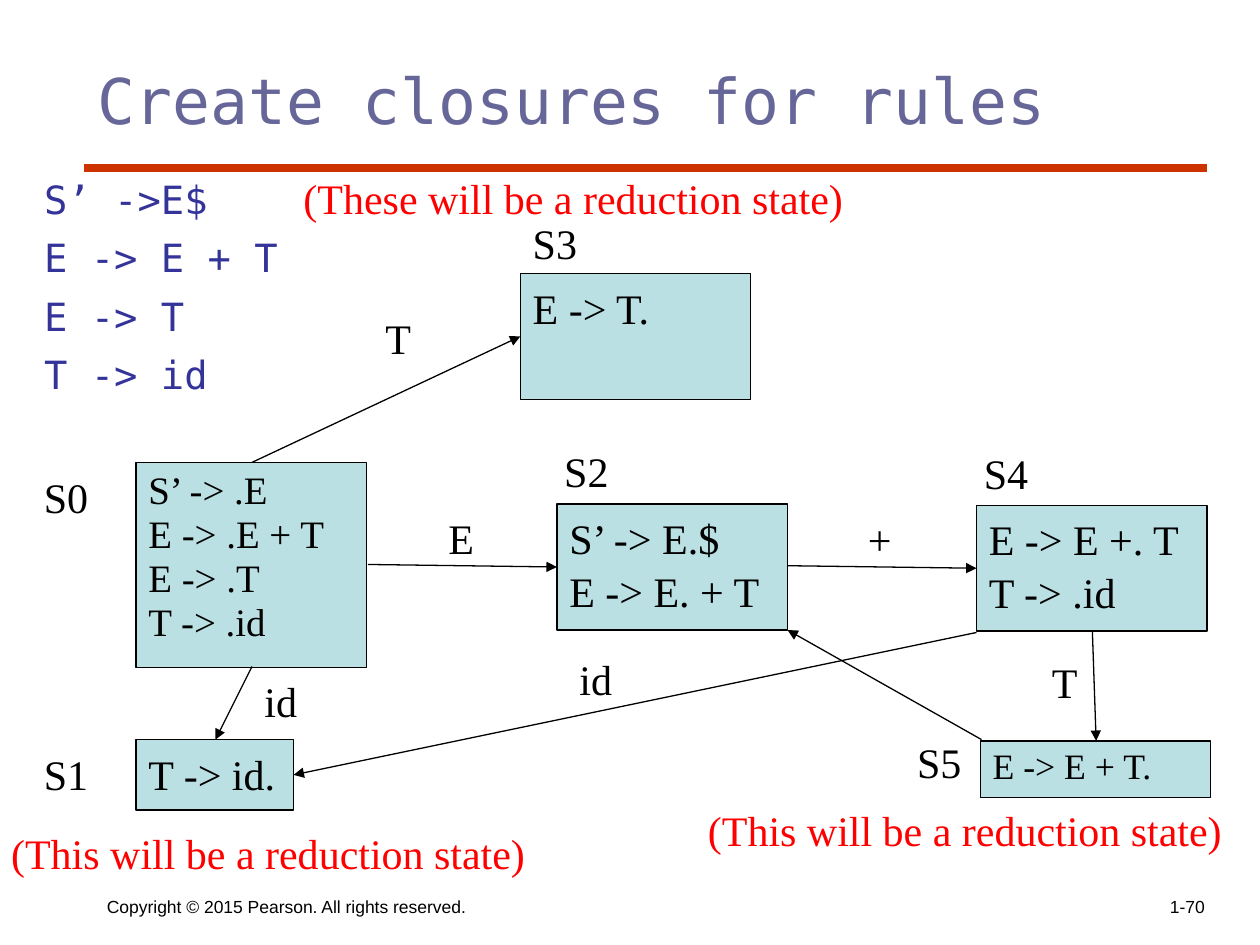
import pptx
import pptx.util
import pptx.dml.color
import pptx.enum.shapes
import pptx.enum.text
import pptx.oxml
import pptx.oxml.ns
import lxml.etree

Inches = pptx.util.Inches
Pt = pptx.util.Pt
Anchor = pptx.enum.text.MSO_ANCHOR
Align = pptx.enum.text.PP_ALIGN
qn = pptx.oxml.ns.qn
SERIF = "Times New Roman"
MONO = "DejaVu Sans Mono"


def color(value):
    return pptx.dml.color.RGBColor.from_string(value)


def write(shape, text, font, size, ink, spacing=1.05, anchor=Anchor.TOP, align=Align.LEFT):
    frame = shape.text_frame
    frame.text = text
    frame.word_wrap = True
    frame.auto_size = pptx.enum.text.MSO_AUTO_SIZE.NONE
    frame.vertical_anchor = anchor
    for para in frame.paragraphs:
        para.alignment = align
        para.line_spacing = spacing
        for span in para.runs:
            span.font.name = font
            span.font.size = Pt(size)
            span.font.color.rgb = color(ink)


deck = pptx.Presentation()
deck.slide_width = Inches(10)
deck.slide_height = Inches(7.5)
page = deck.slides.add_slide(deck.slide_layouts[1])

title = page.shapes.title
title.left, title.top, title.width, title.height = map(Inches, (0.67, 0.42, 8.92, 1.25))
write(title, "Create closures for rules", MONO, 36, "666699", 1.03)

grammar = page.placeholders[1]
grammar.left, grammar.top, grammar.width, grammar.height = map(Inches, (0.25, 1.33, 2.17, 1.87))
write(grammar, "S’ ->E$\nE -> E + T\nE -> T\nT -> id", MONO, 22.2, "333399", 1.03)
for index, para in enumerate(grammar.text_frame.paragraphs):
    para.space_before = Pt(6 if index else 0)
    properties = para._p.get_or_add_pPr()
    properties.set("marL", "0")
    properties.set("indent", "0")
    lxml.etree.SubElement(properties, qn("a:buNone"))

states = [
    (1.08, 3.67, 1.83, 1.63, "S’ -> .E\nE -> .E + T\nE -> .T\nT -> .id", 22.2, 0.95),
    (1.08, 5.87, 1.25, 0.56, "T -> id.", 24, 1.05),
    (4.42, 4, 1.83, 1, "S’ -> E.$\nE -> E. + T", 24, 1.05),
    (4.13, 2.17, 1.83, 1, "E -> T.", 24, 1.05),
    (7.75, 4.01, 1.83, 1, "E -> E +. T\nT -> .id", 24, 1.05),
    (7.78, 5.88, 1.83, 0.45, "E -> E + T.", 20.4, 0.95),
]
for left, top, width, height, items, size, spacing in states:
    box = page.shapes.add_shape(
        pptx.enum.shapes.MSO_SHAPE.RECTANGLE,
        Inches(left), Inches(top), Inches(width), Inches(height))
    box.shadow.inherit = False
    box.fill.solid()
    box.fill.fore_color.rgb = color("BBE0E3")
    box.line.color.rgb = color("000000")
    box.line.width = Pt(0.75)
    write(box, items, SERIF, size, "000000", spacing)

labels = [
    (0.25, 3.67, 0.67, "S0", "000000"),
    (0.25, 5.87, 0.67, "S1", "000000"),
    (4.38, 3.47, 0.67, "S2", "000000"),
    (4.13, 1.66, 0.67, "S3", "000000"),
    (7.71, 3.48, 0.67, "S4", "000000"),
    (7.18, 5.78, 0.67, "S5", "000000"),
    (2, 5.29, 0.75, "id", "000000"),
    (4.5, 5.12, 0.75, "id", "000000"),
    (3.46, 4, 0.75, "E", "000000"),
    (2.96, 2.41, 0.75, "T", "000000"),
    (6.79, 4.01, 0.75, "+", "000000"),
    (8.25, 5.14, 0.75, "T", "000000"),
    (2.31, 1.3, 4.89, "(These will be a reduction state)", "FF0000"),
    (-0.01, 6.5, 5.04, "(This will be a reduction state)", "FF0000"),
    (5.52, 6.32, 5.04, "(This will be a reduction state)", "FF0000"),
]
for left, top, width, text, ink in labels:
    label = page.shapes.add_textbox(Inches(left), Inches(top), Inches(width), Inches(0.5))
    write(label, text, SERIF, 24, ink)

footers = [
    (0.75, 4.58, "Copyright © 2015 Pearson. All rights reserved.", Align.LEFT),
    (7.58, 2.08, "1-70", Align.RIGHT),
]
for left, width, text, align in footers:
    footer = page.shapes.add_textbox(Inches(left), Inches(6.83), Inches(width), Inches(0.5))
    write(footer, text, "Arial", 10, "000000", 1, Anchor.BOTTOM, align)

lines = [
    (0.67, 1.33, 9.58, 1.33, "CC3300", 4.5, False),
    (2, 5.29, 1.71, 5.87, "000000", 0.75, True),
    (7.75, 5.02, 2.33, 6.15, "000000", 0.75, True),
    (2.92, 4.48, 4.42, 4.5, "000000", 0.75, True),
    (2, 3.67, 4.13, 2.67, "000000", 0.75, True),
    (6.25, 4.49, 7.75, 4.51, "000000", 0.75, True),
    (8.67, 5.01, 8.7, 5.88, "000000", 0.75, True),
    (7.79, 5.87, 6.25, 5, "000000", 0.75, True),
]
for x1, y1, x2, y2, ink, weight, arrow in lines:
    line = page.shapes.add_connector(
        pptx.enum.shapes.MSO_CONNECTOR.STRAIGHT,
        Inches(x1), Inches(y1), Inches(x2), Inches(y2))
    line.line.color.rgb = color(ink)
    line.line.width = Pt(weight)
    if arrow:
        lxml.etree.SubElement(line.line._get_or_add_ln(), qn("a:tailEnd"), type="triangle")
    lxml.etree.SubElement(line._element.spPr, qn("a:effectLst"))

deck.save("out.pptx")
